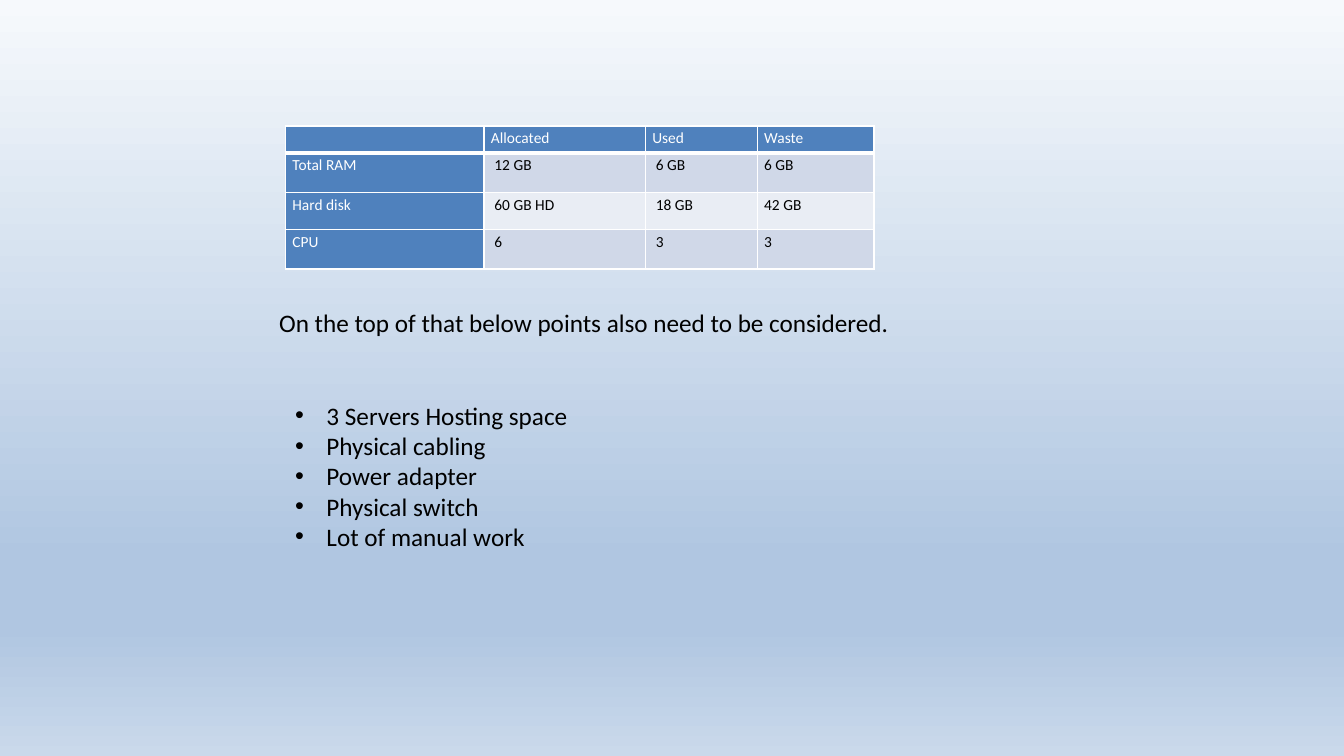
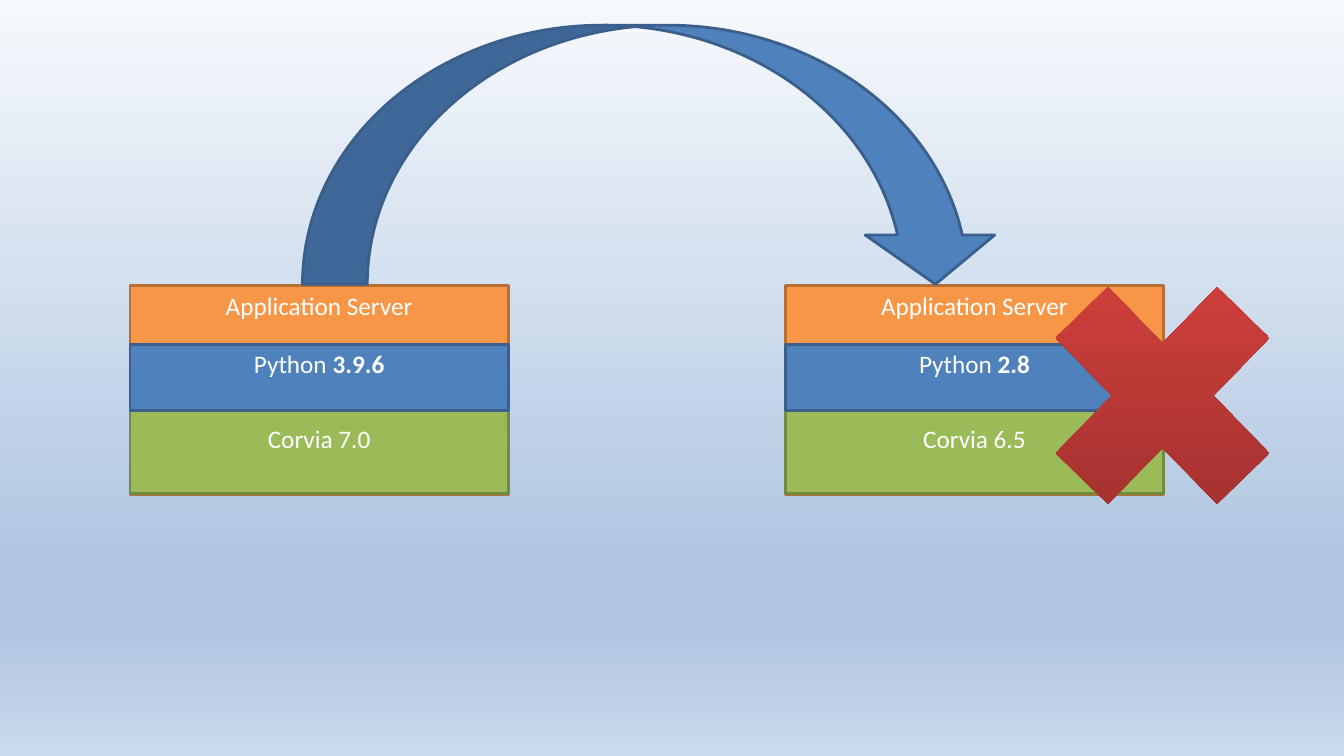
from lxml.etree import SubElement
from pptx import Presentation
from pptx.dml.color import RGBColor
from pptx.enum.shapes import MSO_SHAPE as Preset
from pptx.enum.text import MSO_ANCHOR as Anchor, PP_ALIGN as Align
from pptx.oxml import parse_xml
from pptx.oxml.ns import nsdecls, qn
from pptx.util import Inches, Pt

FONT = "Calibri"
WHITE, BLACK = "FFFFFF", "000000"
BLUE, BLUE_EDGE = "4F81BD", "3A5F8C"
ORANGE, ORANGE_EDGE = "F79646", "B76F34"
GREEN, GREEN_EDGE = "9BBB59", "738A42"
BAND_DARK, BAND_LIGHT = "D0D8E8", "E9EDF4"
SKY = [(0, "F6F9FC"), (74, "B0C6E1"), (83, "B0C6E1"), (100, "CAD9EB")]
RED_SHADE = [(0, "9C2F2D"), (80, "CB3E3A"), (100, "CE3B37")]


def color(value):
    return RGBColor.from_string(value)


def set_all(target, formats):
    for name, value in formats.items():
        setattr(target, name, value)


def set_gradient(owner, fill, stops, angle):
    """Fill with stops (percent, colour); the angle runs counter-clockwise."""
    fill.gradient()
    fill.gradient_angle = angle
    stop_list = owner.element.find(".//" + qn("a:gsLst"))
    for old in list(stop_list):
        stop_list.remove(old)
    for percent, value in stops:
        stop = SubElement(stop_list, qn("a:gs"), pos=str(percent * 1000))
        SubElement(stop, qn("a:srgbClr"), val=value)


def write(para, spans, size, ink, **formats):
    """Fill a paragraph with spans of (text, bold)."""
    set_all(para, formats)
    for text, bold in spans:
        span = para.add_run()
        span.text = text
        set_all(span.font, {"name": FONT, "size": Pt(size), "bold": bold})
        span.font.color.rgb = color(ink)


# Text boxes
def add_text(page, box, lines, bulleted=False):
    frame = page.shapes.add_textbox(*map(Inches, box)).text_frame
    frame.word_wrap = True
    for index, line in enumerate(lines):
        para = frame.add_paragraph() if index else frame.paragraphs[0]
        write(para, [(line, False)], 18, BLACK)
        if bulleted:
            props = para._p.get_or_add_pPr()
            props.set("marL", str(Inches(0.31)))
            props.set("indent", str(-Inches(0.31)))
            SubElement(props, qn("a:buFont"), typeface="Arial")
            SubElement(props, qn("a:buChar"), char="•")


# Table of resources
def border_cell(cell, bottom):
    props = cell._tc.get_or_add_tcPr()
    sides = [("lnL", 1), ("lnR", 1), ("lnT", 1), ("lnB", bottom)]
    for index, (side, width) in enumerate(sides):
        props.insert(index, parse_xml(
            f'<a:{side} {nsdecls("a")} w="{Pt(width)}"><a:solidFill>'
            f'<a:srgbClr val="{WHITE}"/></a:solidFill></a:{side}>'))


def add_resource_table(page, box, widths, heights, rows):
    table = page.shapes.add_table(
        len(rows), len(widths), *map(Inches, box)).table
    for column, width in zip(table.columns, widths):
        column.width = Inches(width)
    for row, height in zip(table.rows, heights):
        row.height = Inches(height)
    for r, texts in enumerate(rows):
        for c, text in enumerate(texts):
            cell = table.cell(r, c)
            heading = r == 0 or c == 0
            band = BAND_DARK if r % 2 else BAND_LIGHT
            set_all(cell, {"margin_left": Inches(0.07), "margin_top": 0,
                           "margin_right": Inches(0.07), "margin_bottom": 0})
            cell.fill.solid()
            cell.fill.fore_color.rgb = color(BLUE if heading else band)
            border_cell(cell, 1 if r else 3)
            para = cell.text_frame.paragraphs[0]
            if text:
                write(para, [(text, False)], 11,
                      WHITE if heading else BLACK, line_spacing=1.15)
            else:
                SubElement(para._p, qn("a:endParaRPr"), sz="1100")


# Shapes
def add_block(page, preset, box, fill, edge):
    block = page.shapes.add_shape(preset, *map(Inches, box))
    block.shadow.inherit = False
    block.fill.solid()
    block.fill.fore_color.rgb = color(fill)
    block.line.color.rgb = color(edge)
    block.line.width = Pt(2)
    return block


def add_server(page, box, python_version, system):
    """Stack the system and Python layers over the application server."""
    left, top, width, height = box
    layers = [
        (0, height, 0.05, ORANGE, ORANGE_EDGE, [("Application Server", False)]),
        (1.24, 0.83, 0.13, GREEN, GREEN_EDGE, [(system, False)]),
        (0.59, 0.65, 0.04, BLUE, BLUE_EDGE,
         [("Python ", False), (python_version, True)]),
    ]
    for offset, depth, margin, fill, edge, spans in layers:
        layer = add_block(page, Preset.RECTANGLE,
                          (left, top + offset, width, depth), fill, edge)
        set_all(layer.text_frame, {"vertical_anchor": Anchor.TOP,
                                   "margin_top": Inches(margin),
                                   "word_wrap": True})
        write(layer.text_frame.paragraphs[0], spans, 18, WHITE,
              alignment=Align.CENTER)


def add_move_arrow(page, box):
    arrow = add_block(page, Preset.CURVED_DOWN_ARROW, box, BLUE, BLUE_EDGE)
    for index, value in enumerate([0.25, 0.5, 0.19]):
        arrow.adjustments[index] = value


def add_cross(page, box):
    cross = page.shapes.add_shape(Preset.MATH_MULTIPLY, *map(Inches, box))
    cross.shadow.inherit = False
    cross.line.fill.background()
    set_gradient(cross, cross.fill, RED_SHADE, 90)


# Slides
def build_resources(page):
    add_resource_table(
        page, (2.83, 1.25, 5.84, 1.42),
        [1.97, 1.6, 1.11, 1.16], [0.27, 0.39, 0.37, 0.39],
        [["", "Allocated", "Used", "Waste"],
         ["Total RAM", " 12 GB", " 6 GB", "6 GB"],
         ["Hard disk", " 60 GB HD", " 18 GB", "42 GB"],
         ["CPU", " 6", " 3", "3"]])
    add_text(page, (2.83, 3.92, 6.33, 1.62),
             ["3 Servers Hosting space", "Physical cabling", "Power adapter",
              "Physical switch", "Lot of manual work"], bulleted=True)
    add_text(page, (2.67, 3, 6.5, 0.4),
             ["On the top of that below points also need to be considered."])


def build_migration(page):
    servers = [(1.29, "3.9.6", "Corvia 7.0"), (7.79, "2.8", "Corvia 6.5")]
    for left, python_version, system in servers:
        add_server(page, (left, 2.83, 3.75, 2.08), python_version, system)
    add_move_arrow(page, (3, 0.25, 6.92, 2.57))
    add_cross(page, (9.99, 2.34, 3.08, 3.17))


deck = Presentation()
set_all(deck, {"slide_width": Inches(13.33), "slide_height": Inches(7.5)})
master = deck.slide_master
set_gradient(master, master.background.fill, SKY, 270)
for build in (build_resources, build_migration):
    build(deck.slides.add_slide(deck.slide_layouts[6]))
deck.save("out.pptx")
